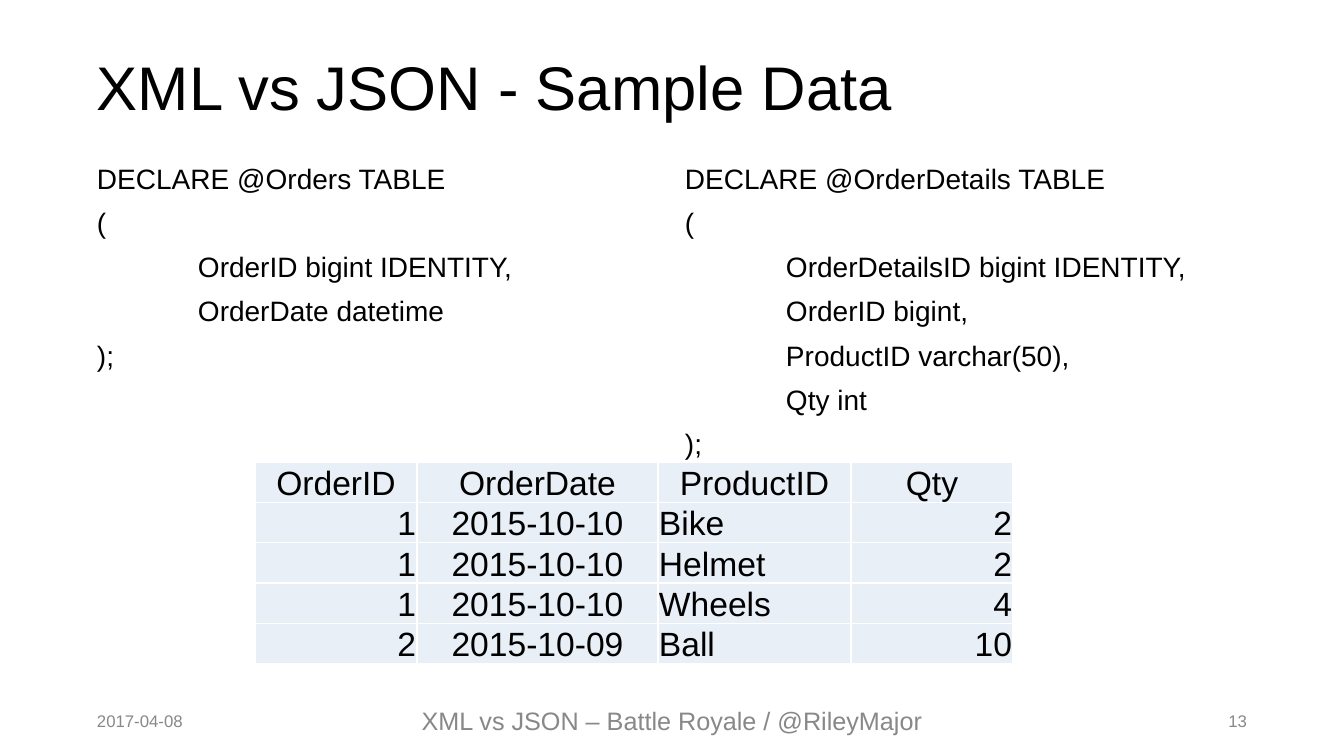
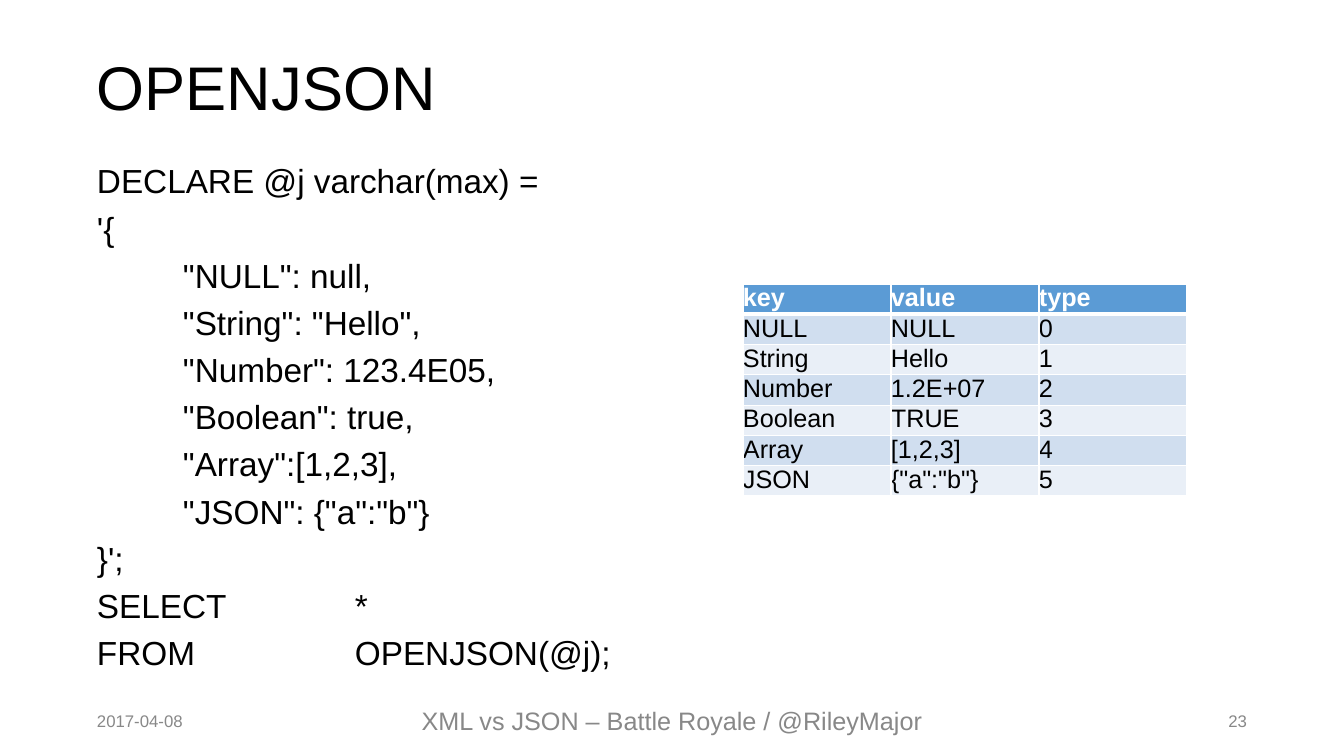
from lxml import etree
from pptx import Presentation
from pptx import util as u
from pptx.dml.color import RGBColor
from pptx.enum import shapes, text
from pptx.oxml import ns

PX = 12192000 / 1344
FONT = "Arial"
BLACK = RGBColor(0x00, 0x00, 0x00)
WHITE = RGBColor(0xFF, 0xFF, 0xFF)
GREY = RGBColor(0x88, 0x88, 0x88)
BLUE = RGBColor(0x5B, 0x9B, 0xD5)
BAND = RGBColor(0xD0, 0xDE, 0xEF)
PALE = RGBColor(0xE9, 0xEF, 0xF7)

LEFT, CENTER, RIGHT = text.PP_ALIGN.LEFT, text.PP_ALIGN.CENTER, text.PP_ALIGN.RIGHT
TOP, MIDDLE, BOTTOM = (
    text.MSO_ANCHOR.TOP, text.MSO_ANCHOR.MIDDLE, text.MSO_ANCHOR.BOTTOM)

MARGIN, CONTENT_WIDTH = 92, 1160
COLUMN_WIDTH, CODE_TOP = 572, 160

ORDERS_CODE = [
    "DECLARE @Orders TABLE",
    "(",
    "\tOrderID bigint IDENTITY,",
    "\tOrderDate datetime",
    ");",
]
DETAILS_CODE = [
    "DECLARE @OrderDetails TABLE",
    "(",
    "\tOrderDetailsID bigint IDENTITY,",
    "\tOrderID bigint,",
    "\tProductID varchar(50),",
    "\tQty int",
    ");",
]
ORDER_ROWS = [
    ("OrderID", "OrderDate", "ProductID", "Qty"),
    ("1", "2015-10-10", "Bike", "2"),
    ("1", "2015-10-10", "Helmet", "2"),
    ("1", "2015-10-10", "Wheels", "4"),
    ("2", "2015-10-09", "Ball", "10"),
]
OPENJSON_CODE = [
    "DECLARE @j varchar(max) =",
    "'{",
    "\t\"NULL\": null,",
    "\t\"String\": \"Hello\",",
    "\t\"Number\": 123.4E05,",
    "\t\"Boolean\": true,",
    "\t\"Array\":[1,2,3],",
    "\t\"JSON\": {\"a\":\"b\"}",
    "}';",
    "SELECT\t\t*",
    "FROM\t\tOPENJSON(@j);",
]
TYPE_ROWS = [
    ("key", "value", "type"),
    ("NULL", "NULL", "0"),
    ("String", "Hello", "1"),
    ("Number", "1.2E+07", "2"),
    ("Boolean", "TRUE", "3"),
    ("Array", "[1,2,3]", "4"),
    ("JSON", "{\"a\":\"b\"}", "5"),
]


def px(length):
    """Turn px into EMU."""
    return u.Emu(round(length * PX))


def add_run(paragraph, words, size, color, bold=False):
    """Add one run in the deck font."""
    run = paragraph.add_run()
    run.text = words
    run.font.name = FONT
    run.font.size = u.Pt(size)
    run.font.bold = bold
    run.font.color.rgb = color


def add_text(slide, box, lines, size, color=BLACK, align=LEFT, anchor=MIDDLE):
    """Add a wrapping text box and return its paragraphs."""
    frame = slide.shapes.add_textbox(*map(px, box)).text_frame
    frame.word_wrap = True
    frame.vertical_anchor = anchor
    frame.margin_left = frame.margin_right = px(5)
    frame.margin_top = frame.margin_bottom = px(5)
    for index, line in enumerate(lines):
        paragraph = frame.add_paragraph() if index else frame.paragraphs[0]
        paragraph.alignment = align
        add_run(paragraph, line, size, color)
    return frame.paragraphs


def add_code(slide, box, lines, size, space, tab):
    """Add code lines with evenly spaced tab stops."""
    for paragraph in add_text(slide, box, lines, size, anchor=TOP):
        paragraph.line_spacing = 0.9
        paragraph.space_before = u.Pt(space)
        properties = paragraph._p.get_or_add_pPr()
        stops = etree.SubElement(properties, ns.qn("a:tabLst"))
        for step in range(1, 4):
            etree.SubElement(
                stops, ns.qn("a:tab"), pos=str(px(tab * step)), algn="l")


def set_borders(cell, top, bottom):
    """Draw white cell borders, with top and bottom widths in points."""
    properties = cell._tc.get_or_add_tcPr()
    widths = {"a:lnL": 1, "a:lnR": 1, "a:lnT": top, "a:lnB": bottom}
    for index, (tag, width) in enumerate(widths.items()):
        line = etree.Element(ns.qn(tag), w=str(u.Pt(width)))
        fill = etree.SubElement(line, ns.qn("a:solidFill"))
        etree.SubElement(fill, ns.qn("a:srgbClr"), val=str(WHITE))
        properties.insert(index, line)


def add_grid(slide, box, widths, rows, size, aligns, anchor, inset, banded):
    """Add a table, with a blue header and bands if banded."""
    table = slide.shapes.add_table(
        len(rows), len(widths), *map(px, box)).table
    table.first_row = banded
    table.horz_banding = banded
    for column, width in zip(table.columns, widths):
        column.width = px(width)
    for r, values in enumerate(rows):
        header = r == 0
        styled = banded and header
        fill = BLUE if styled else BAND if banded and r % 2 else PALE
        for c, value in enumerate(values):
            cell = table.cell(r, c)
            cell.fill.solid()
            cell.fill.fore_color.rgb = fill
            cell.vertical_anchor = anchor
            cell.margin_left = cell.margin_right = px(inset)
            cell.margin_top = cell.margin_bottom = 0
            set_borders(cell, 3 if banded and r == 1 else 1, 3 if styled else 1)
            paragraph = cell.text_frame.paragraphs[0]
            paragraph.alignment = CENTER if header and not banded else aligns[c]
            add_run(paragraph, value, size, WHITE if styled else BLACK, styled)


def add_footer_band(slide, box):
    """Add the translucent white band behind the footer."""
    shape = slide.shapes.add_shape(
        shapes.MSO_SHAPE.RECTANGLE, *map(px, box))
    shape.shadow.inherit = False
    shape.line.fill.background()
    shape.fill.solid()
    shape.fill.fore_color.rgb = WHITE
    color = shape.fill._xPr.find(ns.qn("a:solidFill"))[0]
    etree.SubElement(color, ns.qn("a:alpha"), val="70000")


def add_base(presentation, title, number):
    """Add a blank slide with the shared title and footers."""
    slide = presentation.slides.add_slide(presentation.slide_layouts[6])
    add_footer_band(slide, (445, 701, 454, 40))
    add_text(slide, (385, 701, 574, 38),
             ["XML vs JSON – Battle Royale / @RileyMajor"], 18, GREY, CENTER)
    add_text(slide, (MARGIN, 706, 302, 29), ["2017-04-08"], 12, GREY)
    add_text(slide, (1222, 706, 30, 29), [number], 12, GREY, RIGHT)
    heading = add_text(slide, (MARGIN, 40, CONTENT_WIDTH, 101), [title], 44)[0]
    heading.line_spacing = 0.9
    return slide


def add_sample_data(presentation):
    """Add the slide with two declarations and the joined rows."""
    slide = add_base(presentation, "XML vs JSON - Sample Data", "13")
    right = MARGIN + CONTENT_WIDTH - COLUMN_WIDTH
    for left, height, lines in (
            (MARGIN, 282, ORDERS_CODE), (right, 299, DETAILS_CODE)):
        add_code(slide, (left, CODE_TOP, COLUMN_WIDTH, height),
                 lines, 20, 10, 101)
    add_grid(slide, (255, 462, 758, 105), (162, 241, 193, 162), ORDER_ROWS,
             24, (RIGHT, CENTER, LEFT, RIGHT), BOTTOM, 1, False)


def add_openjson(presentation):
    """Add the slide with the query and its result."""
    slide = add_base(presentation, "OPENJSON", "23")
    add_code(slide, (MARGIN, CODE_TOP, COLUMN_WIDTH, 520),
             OPENJSON_CODE, 23.8, 8, 86)
    add_grid(slide, (743, 284, 444, 212), (148,) * 3, TYPE_ROWS,
             18, (LEFT,) * 3, TOP, 0, True)


def main():
    """Build and save the presentation."""
    presentation = Presentation()
    presentation.slide_width = px(1344)
    presentation.slide_height = px(756)
    add_sample_data(presentation)
    add_openjson(presentation)
    presentation.save("out.pptx")


if __name__ == "__main__":
    main()
